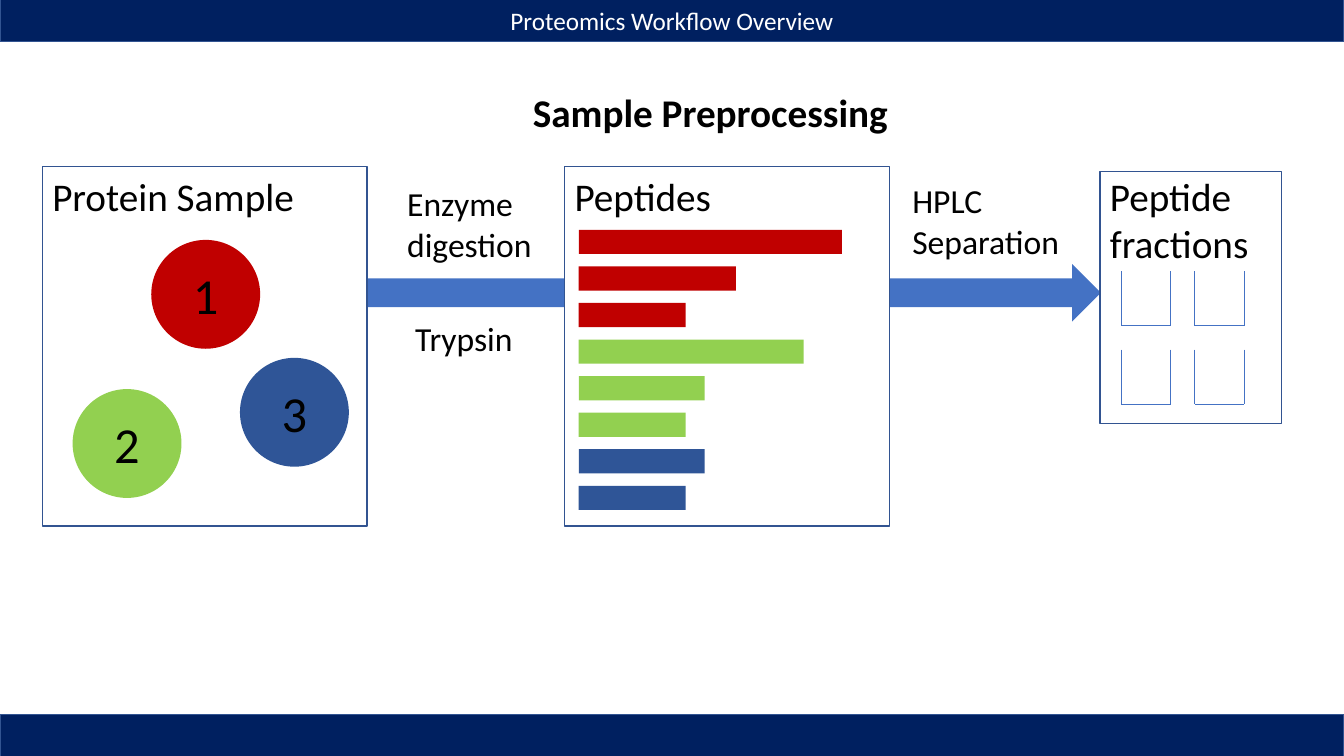
from pptx import Presentation
from pptx.dml.color import RGBColor
from pptx.enum.shapes import MSO_CONNECTOR, MSO_SHAPE
from pptx.enum.text import MSO_ANCHOR, PP_ALIGN
from pptx.oxml.ns import qn
from pptx.util import Inches, Pt
from lxml import etree

NAVY, BLUE, EDGE = "002060", "4472C4", "325491"
RED, GREEN, INDIGO = "C00000", "92D050", "2F5597"
WHITE, BLACK = "FFFFFF", "000000"


def write(sp, text, size, color=BLACK, bold=False, align=PP_ALIGN.LEFT, anchor=MSO_ANCHOR.TOP):
    tf = sp.text_frame
    tf.word_wrap = True
    tf.vertical_anchor = anchor
    tf.text = text
    font = {"name": "Calibri", "size": Pt(size), "bold": bold}
    for p in tf.paragraphs:
        p.alignment = align
        for r in p.runs:
            for key, value in font.items():
                setattr(r.font, key, value)
            r.font.color.rgb = RGBColor.from_string(color)


def add_shape(kind, x, y, w, h, fill, line=None):
    sp = s.shapes.add_shape(kind, Inches(x), Inches(y), Inches(w), Inches(h))
    sp.shadow.inherit = False
    sp.fill.solid()
    sp.fill.fore_color.rgb = RGBColor.from_string(fill)
    if line:
        sp.line.color.rgb = RGBColor.from_string(line)
        sp.line.width = Pt(1)
    else:
        sp.line.fill.background()
    return sp


prs = Presentation()
prs.slide_width, prs.slide_height = Inches(13.33), Inches(7.5)
s = prs.slides.add_slide(prs.slide_layouts[5])

title = s.shapes.title
place = {"left": 4.86, "top": 0.83, "width": 4.37, "height": 0.57}
for key, value in place.items():
    setattr(title, key, Inches(value))
write(title, "Sample Preprocessing", 28, bold=True, align=PP_ALIGN.CENTER)

add_shape(MSO_SHAPE.RIGHT_ARROW, 2.26, 2.62, 8.66, 0.57, BLUE)

for text, x, y, w, h in [
    ("Protein Sample", 0.42, 1.65, 3.22, 3.57),
    ("Peptides", 5.6, 1.65, 3.22, 3.57),
    ("Peptide\nfractions", 10.91, 1.7, 1.8, 2.5),
]:
    box = add_shape(MSO_SHAPE.RECTANGLE, x, y, w, h, WHITE, EDGE)
    write(box, text, 28)
    box.text_frame.margin_top = Inches(1.71 - y)

for number, x, y, color in [("1", 1.5, 2.38, RED), ("2", 0.72, 3.86, GREEN), ("3", 2.38, 3.55, INDIGO)]:
    protein = add_shape(MSO_SHAPE.OVAL, x, y, 1.08, 1.08, color)
    write(protein, number, 36, align=PP_ALIGN.CENTER, anchor=MSO_ANCHOR.MIDDLE)

peptides = [(RED, 2.61), (RED, 1.56), (RED, 1.06), (GREEN, 2.23),
            (GREEN, 1.25), (GREEN, 1.06), (INDIGO, 1.25), (INDIGO, 1.06)]
for i, (color, length) in enumerate(peptides):
    add_shape(MSO_SHAPE.RECTANGLE, 5.74, 2.28 + i * 2.54 / 7, length, 0.24, color)

for text, x, y, w, h in [
    ("Enzyme digestion", 3.94, 1.77, 1.6, 0.91),
    ("Trypsin", 4.02, 3.1, 1.3, 0.5),
    ("HPLC Separation", 8.95, 1.74, 1.97, 0.91),
]:
    step = s.shapes.add_textbox(Inches(x), Inches(y), Inches(w), Inches(h))
    write(step, text, 24)

for top in (2.69, 3.47):
    bottom = top + 0.54
    for left in (11.12, 11.85):
        right = left + 0.49
        for ends in [(left, top, left, bottom), (right, top, right, bottom), (left, bottom, right, bottom)]:
            side = s.shapes.add_connector(MSO_CONNECTOR.STRAIGHT, *[Inches(v) for v in ends])
            side.line.color.rgb = RGBColor.from_string(BLUE)
            side.line.width = Pt(0.5)
            etree.SubElement(side.line._get_or_add_ln().getparent(), qn("a:effectLst"))

header, footer = [add_shape(MSO_SHAPE.RECTANGLE, 0, y, 13.33, 0.42, NAVY, EDGE) for y in (-0.01, 7.09)]
write(header, "Proteomics Workflow Overview", 18, WHITE, align=PP_ALIGN.CENTER, anchor=MSO_ANCHOR.MIDDLE)

prs.save("out.pptx")
